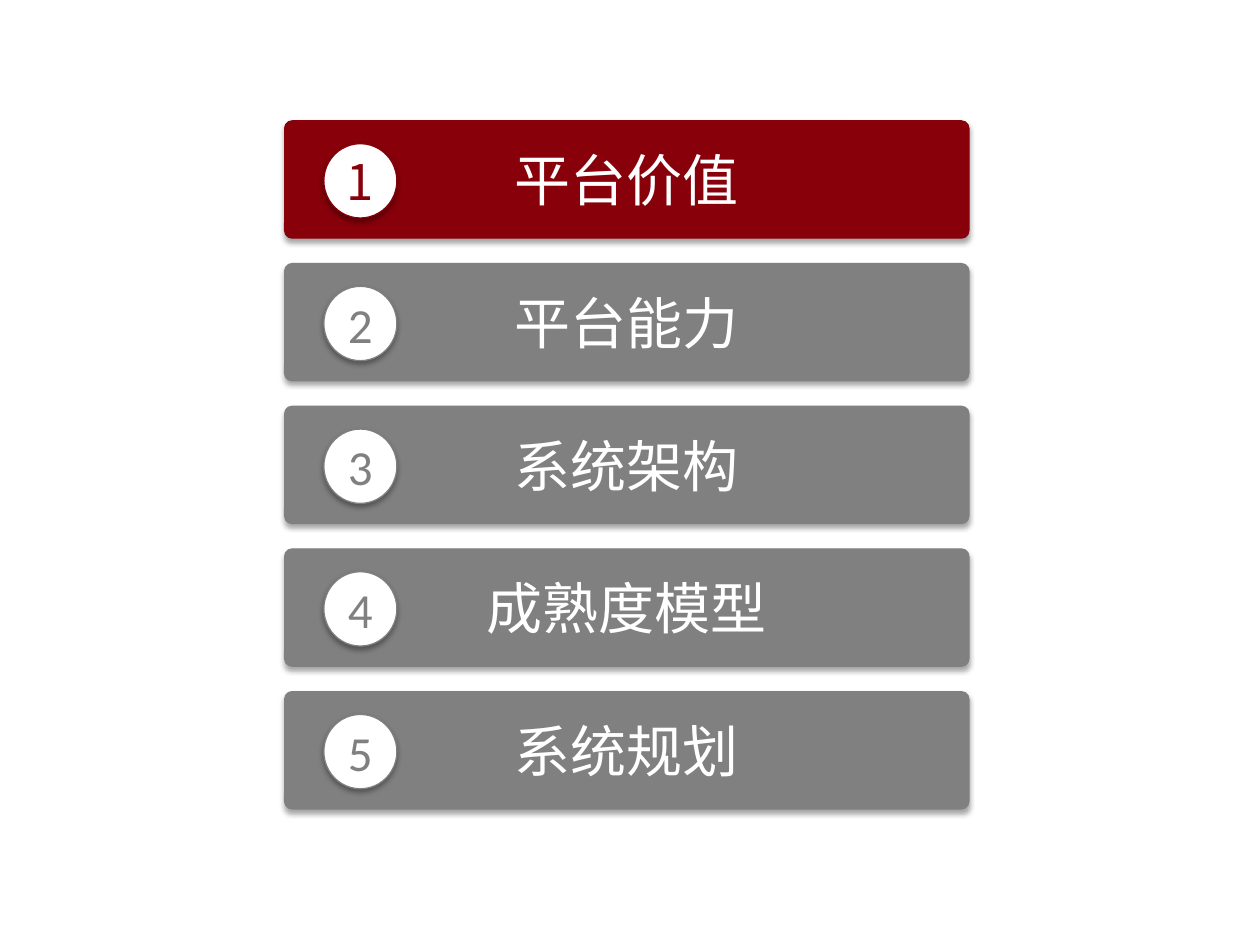
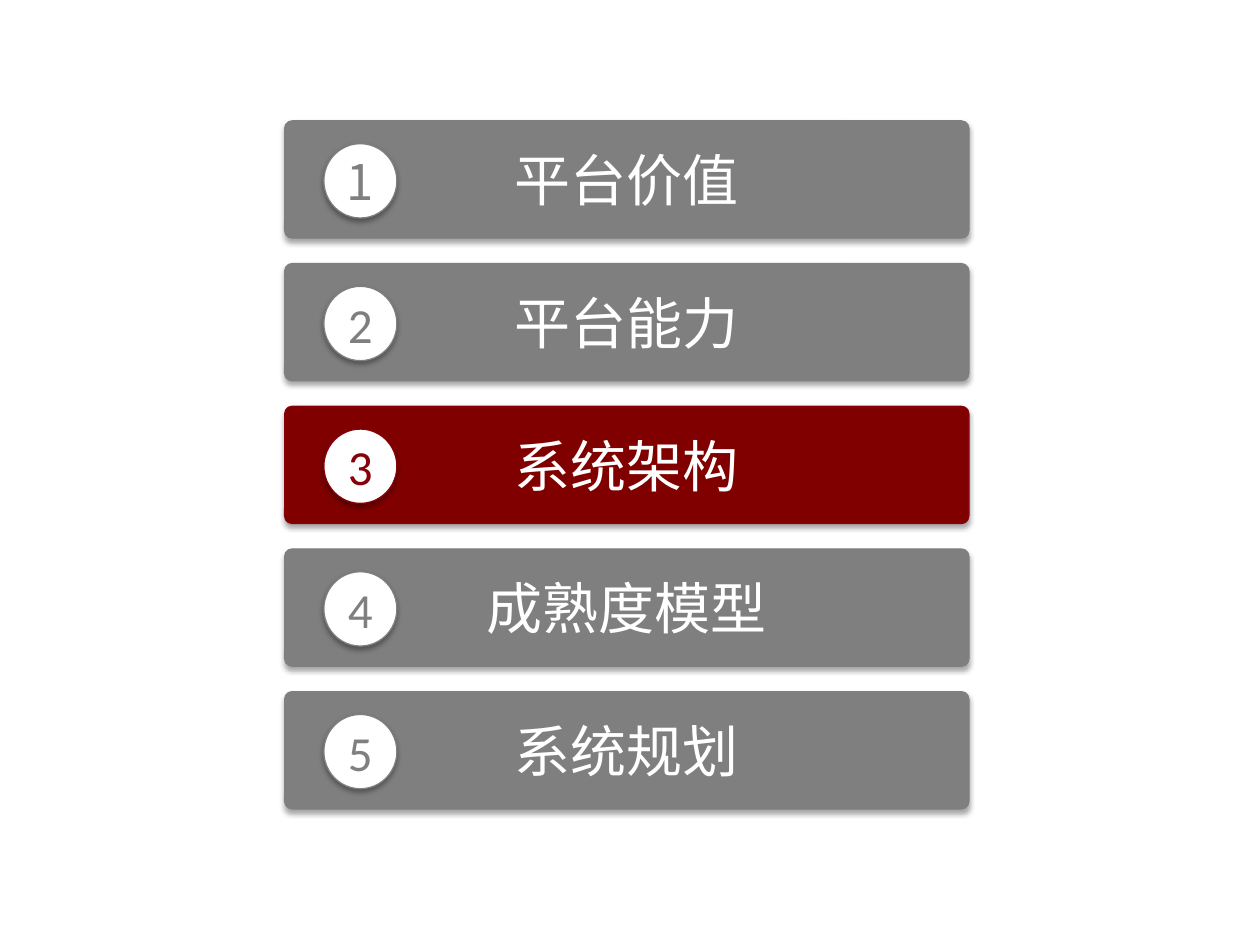
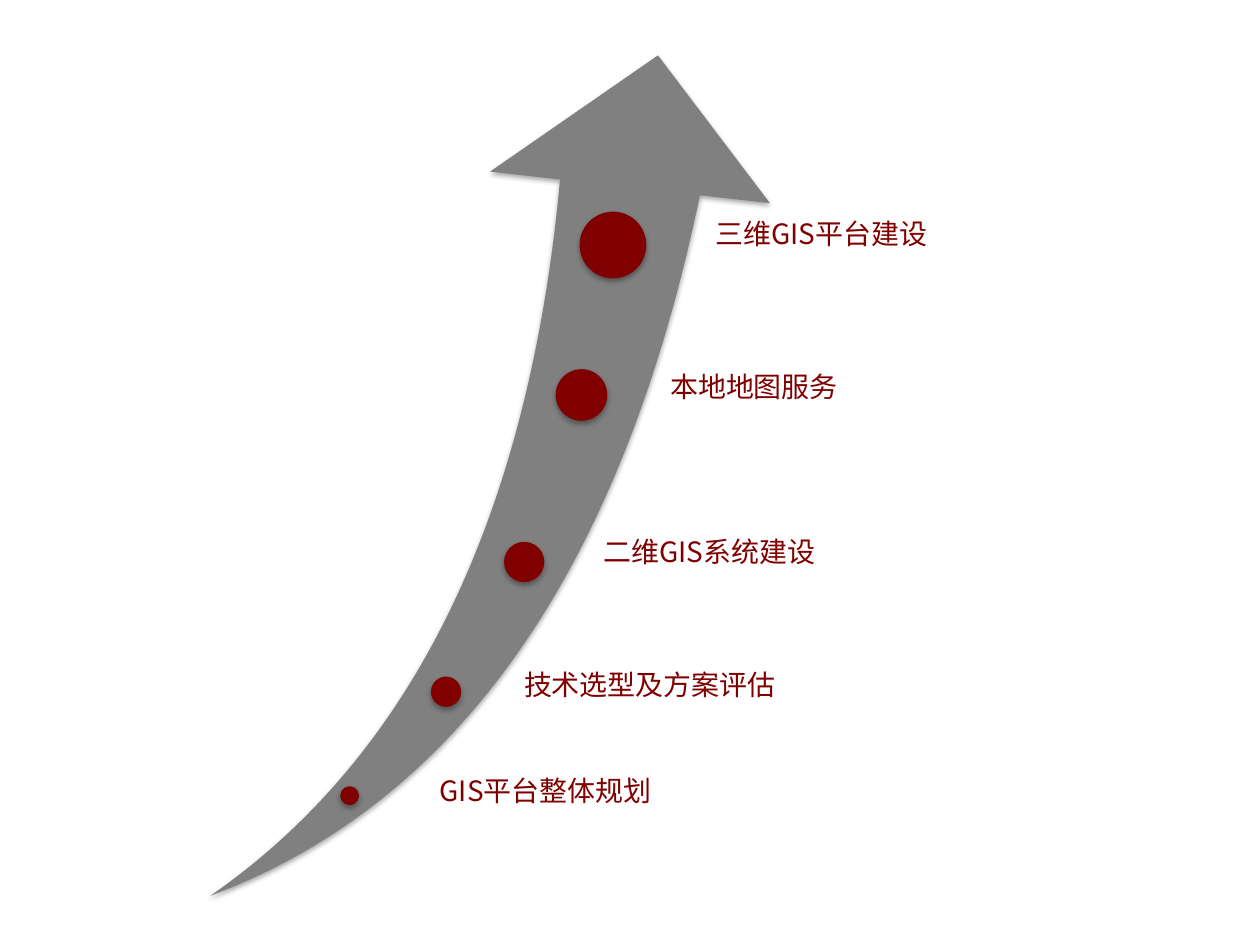
"""Build two agenda slides and one roadmap slide."""
from dataclasses import dataclass

from lxml.etree import SubElement as Sub
from pptx import Presentation
from pptx.dml.color import RGBColor as Rgb
from pptx.enum.shapes import MSO_SHAPE as Geo
from pptx.enum.text import MSO_ANCHOR as Anchor, PP_ALIGN as Align
from pptx.oxml.ns import qn
from pptx.util import Inches, Pt


@dataclass(frozen=True)
class Theme:
    """Colours, fonts and type sizes of the deck."""
    white: str = "FFFFFF"
    black: str = "000000"
    red: str = "800000"
    wine: str = "87000A"
    grey: str = "808080"
    ash: str = "7F7F7F"
    han: str = "Noto Sans CJK SC"
    latin: str = "Calibri"
    bar: int = 32
    badge: int = 28
    label: int = 16


T = Theme()
TOPICS = ("平台价值", "平台能力", "系统架构", "成熟度模型", "系统规划")
STEPS = (
    (" GIS平台整体规划", (2.7, 6.24, 0.15), (3.36, 6.17, 3.05, 0.35), 0.08),
    ("技术选型及方案评估", (3.42, 5.37, 0.24), (4.03, 5.33, 2.7, 0.45), 0.13),
    ("二维GIS系统建设", (4, 4.3, 0.32), (4.62, 4.27, 2.59, 0.9), 0.17),
    ("本地地图服务", (4.41, 2.93, 0.41), (5.1, 2.96, 2.97, 0.57), 0.22),
    ("三维GIS平台建设", (4.6, 1.68, 0.53), (5.4, 1.75, 3.7, 0.52), 0.28),
)


def shade(shape):
    """Give a shape the soft shadow that all shapes share."""
    shape.shadow.inherit = False
    fx = shape._element.spPr.find(qn("a:effectLst"))
    drop = Sub(fx, qn("a:outerShdw"), blurRad=str(Pt(3.1)), dist=str(Pt(1.8)),
               dir="5400000", rotWithShape="0")
    tint = Sub(drop, qn("a:srgbClr"), val=T.black)
    Sub(tint, qn("a:alpha"), val="35000")


def draw(shapes, geo, box, fill, line=None):
    """Add a filled preset shape, with a thin line if one is named."""
    shape = shapes.add_shape(geo, *map(Inches, box))
    shape.fill.solid()
    shape.fill.fore_color.rgb = Rgb.from_string(fill)
    if line:
        shape.line.color.rgb = Rgb.from_string(line)
        shape.line.width = Pt(0.75)
    else:
        shape.line.fill.background()
    shade(shape)
    return shape


def write(par, text, size, color, face=T.han):
    """Add one styled run to a paragraph."""
    run = par.add_run()
    run.text = text
    font = run.font
    font.size, font.name = Pt(size), face
    font.color.rgb = Rgb.from_string(color)
    Sub(run._r.get_or_add_rPr(), qn("a:ea"), typeface=T.han)


def centre(shape, text, size, color, face=T.han):
    """Write one line in the middle of a shape."""
    frame = shape.text_frame
    frame.vertical_anchor = Anchor.MIDDLE
    par = frame.paragraphs[0]
    par.alignment = Align.CENTER
    write(par, text, size, color, face)


def entry(shapes, box, num, topic, fill, edge):
    """Draw one agenda bar with its numbered badge."""
    left, top = box[:2]
    bar = draw(shapes, Geo.ROUNDED_RECTANGLE, box, fill, edge)
    bar.adjustments[0] = 0.063
    centre(bar, topic, T.bar, T.white)
    spot = (left + 0.31, top + 0.18, 0.58, 0.59)
    badge = draw(shapes, Geo.OVAL, spot, T.white, edge)
    centre(badge, str(num), T.badge, edge, T.han if num == 1 else T.latin)


def agenda(slide, box, live, fill, dull):
    """Stack the topics in the box and light up the live one."""
    left, top, width, height = box
    high = 0.93
    pitch = (height - high) / (len(TOPICS) - 1)
    for num, topic in enumerate(TOPICS, 1):
        hues = (fill, T.wine) if num == live else (dull, dull)
        place = (left, top + (num - 1) * pitch, width, high)
        entry(slide.shapes, place, num, topic, *hues)


def swoosh(shapes, box):
    """Draw the arrow that rises to fill the box."""
    left, top, width, height = box
    shift = (height - width) / 2
    arrow = draw(shapes, Geo.SWOOSH_ARROW,
                 (left - shift, top + shift, height, width), T.grey)
    arrow.adjustments[0] = arrow.adjustments[1] = 0.25
    arrow.rotation = 270
    arrow._element.spPr.xfrm.set("flipV", "1")


def step(shapes, text, dot, box, inset):
    """Draw one milestone dot and its label."""
    left, top, size = dot
    draw(shapes, Geo.OVAL, (left, top, size, size), T.red)
    frame = shapes.add_textbox(*map(Inches, box)).text_frame
    frame.word_wrap = True
    frame.margin_left = Inches(inset)
    frame.margin_top = frame.margin_right = frame.margin_bottom = 0
    par = frame.paragraphs[0]
    par.line_spacing = 0.9
    write(par, text, T.label, T.red)


def roadmap(slide, box):
    """Place the rising arrow and its milestones as one group."""
    shapes = slide.shapes.add_group_shape().shapes
    swoosh(shapes, box)
    for item in STEPS:
        step(shapes, *item)


def main():
    """Build and save the deck."""
    deck = Presentation()
    deck.slide_width, deck.slide_height = Inches(10), Inches(7.5)
    blank = deck.slide_layouts[6]
    stack = (2.26, 0.96, 5.43, 5.46)
    for live, fill, dull in ((1, T.wine, T.grey), (3, T.red, T.ash)):
        agenda(deck.slides.add_slide(blank), stack, live, fill, dull)
    roadmap(deck.slides.add_slide(blank), (1.67, 0.44, 4.44, 6.67))
    deck.save("out.pptx")


if __name__ == "__main__":
    main()
